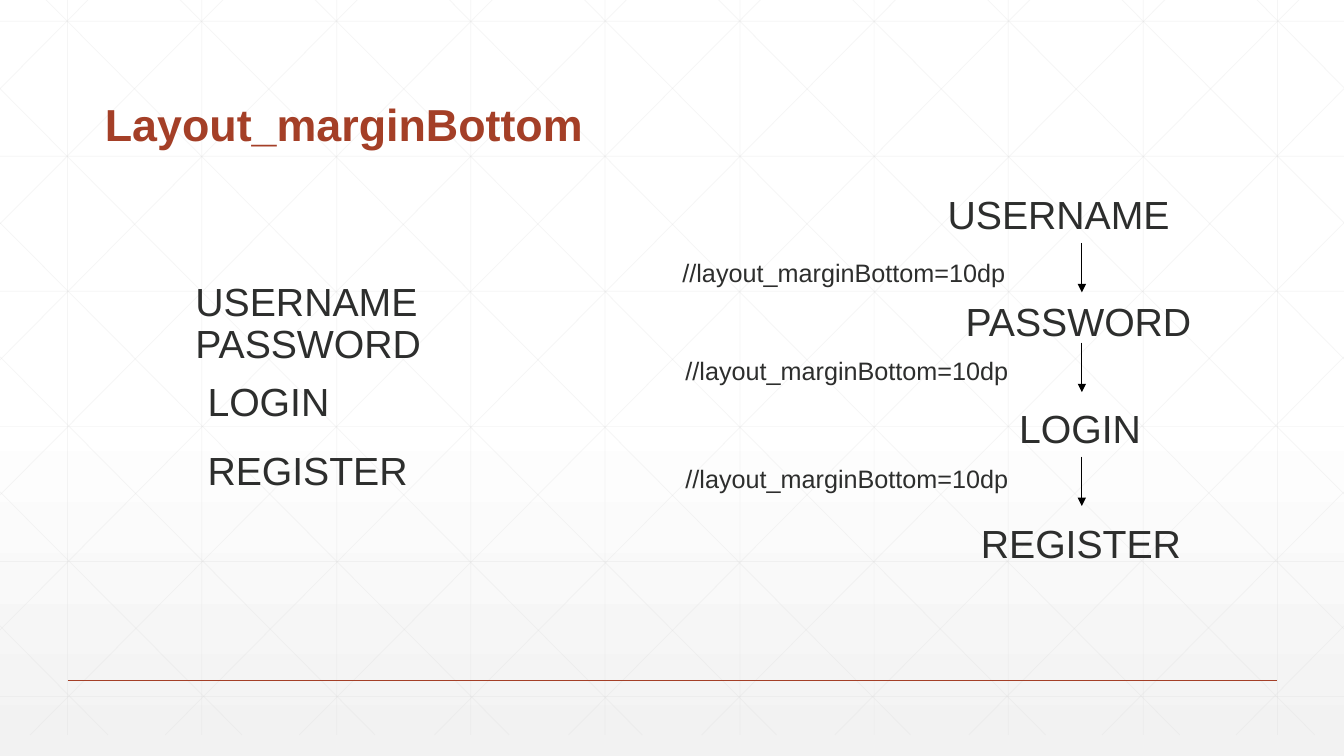
from copy import deepcopy
from lxml import etree
from pptx import Presentation
from pptx import util as u
from pptx.dml.color import RGBColor
from pptx.enum import shapes, text
from pptx.oxml import ns

RUST = RGBColor(0xA4, 0x3F, 0x27)
INK = RGBColor(0x2D, 0x2E, 0x2D)
BLACK = RGBColor(0, 0, 0)
WHITE = RGBColor(0xFF, 0xFF, 0xFF)
MIST = RGBColor(0xF2, 0xF2, 0xF2)
GRID = RGBColor(0xD9, 0xD9, 0xD9)
WIDE, HIGH = 1333, 750
TOP, LOW = -21, 729


def px(n):
    """One px is a hundredth of an inch."""
    return u.Emu(round(n) * 9144)


class Deck:
    font = "Arial"

    def __init__(self):
        self.prs = Presentation()
        self.prs.slide_width, self.prs.slide_height = px(WIDE), px(HIGH)
        self.slide = self.prs.slides.add_slide(self.prs.slide_layouts[5])

    def back(self):
        fill = self.slide.background.fill
        fill.gradient()
        fill.gradient_angle = 270
        first = self.slide.element.find(".//" + ns.qn("a:gs"))
        first.addnext(deepcopy(first))
        stops = zip(fill.gradient_stops, (0, 0.53, 1), (WHITE, WHITE, MIST))
        for stop, pos, color in stops:
            stop.position = pos
            stop.color.rgb = color

    def line(self, x1, y1, x2, y2, color, width=0.5, alpha=None, arrow=False):
        line = self.slide.shapes.add_connector(
            shapes.MSO_CONNECTOR.STRAIGHT, px(x1), px(y1), px(x2), px(y2))
        line.line.color.rgb = color
        line.line.width = u.Pt(width)
        props = line.element.spPr
        etree.SubElement(props, ns.qn("a:effectLst"))
        if alpha:
            tint = props.find(".//" + ns.qn("a:srgbClr"))
            etree.SubElement(tint, ns.qn("a:alpha"), val=str(alpha * 1000))
        if arrow:
            edge = props.find(ns.qn("a:ln"))
            etree.SubElement(edge, ns.qn("a:tailEnd"), type="triangle")

    def grid(self, x1, y1, x2, y2):
        self.line(x1, y1, x2, y2, GRID, alpha=25)

    def ray(self, x, y, dx, dy):
        """Draw a diagonal that stops at the side of the slide."""
        run = min(745, WIDE - x if dx > 0 else x)
        self.grid(x, y, x + dx * run, y + dy * run * 750 / 745)

    def run(self, para, words, size, color, bold=False):
        run = para.add_run()
        run.text = words
        run.font.name = self.font
        run.font.size = u.Pt(size)
        run.font.bold = bold
        run.font.color.rgb = color

    def title(self, x, y, w, h, words):
        title = self.slide.shapes.title
        title.left, title.top, title.width, title.height = map(px, (x, y, w, h))
        title.element.getparent().append(title.element)  # above the grid
        frame = title.text_frame
        frame.auto_size = text.MSO_AUTO_SIZE.NONE
        frame.vertical_anchor = text.MSO_ANCHOR.BOTTOM
        para = frame.paragraphs[0]
        para.alignment = text.PP_ALIGN.LEFT
        para.line_spacing = 0.9
        self.run(para, words, 32, RUST, True)

    def label(self, x, y, w, h, words, size):
        frame = self.slide.shapes.add_textbox(*map(px, (x, y, w, h))).text_frame
        frame.word_wrap = True
        frame.auto_size = text.MSO_AUTO_SIZE.SHAPE_TO_FIT_TEXT
        self.run(frame.paragraphs[0], words, size, INK)


def main():
    deck = Deck()
    deck.back()

    # Background grid
    for k in range(10):
        x = 67 + k * 133.33
        deck.grid(x, TOP, x, LOW)
    for k in range(6):
        y = 21 + k * 134
        deck.grid(0, y, WIDE, y)
    for k in range(10):
        step = k * 133.4
        deck.ray(25 + step, TOP, 1, 1)
        deck.ray(1309 - step, TOP, -1, 1)
    for k in range(5):
        step = k * 132.4
        deck.ray(637 - step, LOW, -1, -1)
        deck.ray(696 + step, LOW, 1, -1)

    # Footer rule and title
    deck.line(67, 675, 1267, 675, RUST, 1)
    deck.title(94, 30, 1050, 125, "Layout_marginBottom")

    # Fields without margins on the left, with margins on the right
    fields = (
        ("USERNAME", 285, (184, 270), (930, 184)),
        ("PASSWORD", 285, (184, 312), (948, 290)),
        ("LOGIN", 149, (196, 369), (1001, 396)),
        ("REGISTER", 221, (196, 438), (963, 510)),
    )
    for words, wide, *spots in fields:
        for x, y in spots:
            deck.label(x, y, wide, 57, words, 28)

    # Margin arrows and their notes
    for top, x, y in ((241, 667, 250), (340, 670, 348), (453, 670, 455)):
        deck.line(1073, top, 1073, top + 49, BLACK, arrow=True)
        deck.label(x, y, 341, 40, "//layout_marginBottom=10dp", 18)

    deck.prs.save("out.pptx")


if __name__ == "__main__":
    main()
